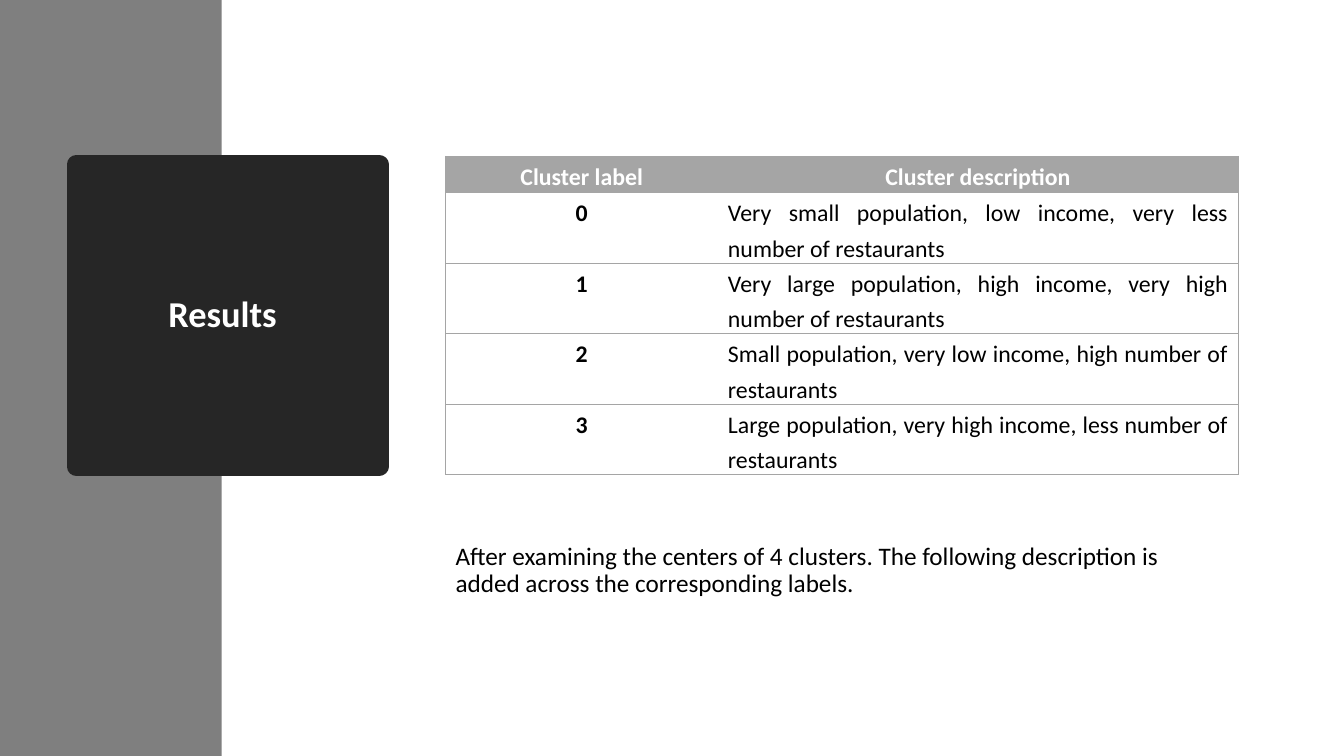
import pptx
import pptx.dml.color
import pptx.enum.shapes
import pptx.enum.text
import pptx.oxml
import pptx.oxml.ns
import pptx.util
from dataclasses import dataclass

Inches = pptx.util.Inches
Pt = pptx.util.Pt
ALIGN = pptx.enum.text.PP_ALIGN
ANCHOR = pptx.enum.text.MSO_ANCHOR


@dataclass(frozen=True)
class Theme:
    font: str = "Calibri"
    band: str = "7F7F7F"
    panel: str = "262626"
    grid: str = "A5A5A5"
    white: str = "FFFFFF"
    black: str = "000000"
    title_size: int = 26
    body_size: int = 18
    table_size: int = 17
    panel_line: float = 13.75
    grid_line: float = 0.5


def rgb(value):
    return pptx.dml.color.RGBColor.from_string(value)


class SlideBuilder:
    def __init__(self, slide, theme):
        self.slide = slide
        self.theme = theme

    def add_words(self, frame, text, size, color, bold=False, align=ALIGN.LEFT, spacing=0.9):
        frame.word_wrap = True
        paragraph = frame.paragraphs[0]
        paragraph.alignment = align
        paragraph.line_spacing = spacing
        run = paragraph.add_run()
        run.text = text
        run.font.name = self.theme.font
        run.font.size = Pt(size)
        run.font.bold = bold
        run.font.color.rgb = rgb(color)
        return paragraph

    def rectangle(self, left, top, width, height, color, line_width=0):
        block = self.slide.shapes.add_shape(
            pptx.enum.shapes.MSO_SHAPE.RECTANGLE,
            Inches(left), Inches(top), Inches(width), Inches(height))
        block.shadow.inherit = False
        block.fill.solid()
        block.fill.fore_color.rgb = rgb(color)
        if line_width:
            block.line.color.rgb = rgb(color)
            block.line.width = Pt(line_width)
            # Rounded corners come from the join of the thick outline
            block.line._get_or_add_ln().append(
                pptx.oxml.parse_xml(f'<a:round {pptx.oxml.ns.nsdecls("a")}/>'))
        else:
            block.line.fill.background()
        return block

    def title_panel(self, left, top, size, text):
        panel = self.rectangle(left, top, size, size, self.theme.panel, self.theme.panel_line)
        frame = panel.text_frame
        frame.vertical_anchor = ANCHOR.MIDDLE
        frame.margin_right = Inches(0.2)
        self.add_words(frame, text, self.theme.title_size, self.theme.white, True, ALIGN.CENTER)

    def text(self, left, top, width, height, text):
        box = self.slide.shapes.add_textbox(
            Inches(left), Inches(top), Inches(width), Inches(height))
        self.add_words(box.text_frame, text, self.theme.body_size, self.theme.black)

    def cell_borders(self, cell, sides):
        properties = cell._tc.get_or_add_tcPr()
        for side in "LRTB":
            paint = (f'<a:solidFill><a:srgbClr val="{self.theme.grid}"/></a:solidFill>'
                     if side in sides else "<a:noFill/>")
            properties.append(pptx.oxml.parse_xml(
                f'<a:ln{side} {pptx.oxml.ns.nsdecls("a")} '
                f'w="{Pt(self.theme.grid_line)}">{paint}</a:ln{side}>'))

    def table(self, left, top, widths, heights, rows):
        grid = self.slide.shapes.add_table(
            len(rows), len(widths), Inches(left), Inches(top),
            Inches(sum(widths)), Inches(sum(heights))).table
        grid.horz_banding = False
        for column, width in zip(grid.columns, widths):
            column.width = Inches(width)
        for row, height in zip(grid.rows, heights):
            row.height = Inches(height)
        for r, values in enumerate(rows):
            for c, value in enumerate(values):
                self.table_cell(grid.cell(r, c), value, header=r == 0, label=c == 0)

    def table_cell(self, cell, value, header, label):
        theme = self.theme
        # Outer frame and row rules only, no rule between the columns
        self.cell_borders(cell, "LTB" if label else "RTB")
        cell.fill.solid()
        cell.fill.fore_color.rgb = rgb(theme.grid if header else theme.white)
        cell.margin_left = cell.margin_right = Inches(0.1)
        cell.margin_top = cell.margin_bottom = 0
        paragraph = self.add_words(
            cell.text_frame, value, theme.table_size,
            theme.white if header else theme.black,
            bold=header or label,
            align=ALIGN.CENTER if header or label else ALIGN.JUSTIFY,
            spacing=1.22)
        paragraph.space_after = Pt(0.2)


def main():
    presentation = pptx.Presentation()
    presentation.slide_width = Inches(13.33)
    presentation.slide_height = Inches(7.5)
    slide = presentation.slides.add_slide(presentation.slide_layouts[6])
    theme = Theme()
    builder = SlideBuilder(slide, theme)

    # Side band and title
    builder.rectangle(0, 0, 2.2, 7.5, theme.band)
    builder.title_panel(0.76, 1.63, 3, "Results")

    # Explanation under the table
    builder.text(4.42, 5.34, 7.86, 1.41,
                 "After examining the centers of 4 clusters. The following description is "
                 "added across the corresponding labels.")

    # Cluster table
    descriptions = [
        "Very small population, low income, very less number of restaurants",
        "Very large population, high income, very high number of restaurants",
        "Small population, very low income, high number of restaurants",
        "Large population, very high income, less number of restaurants",
    ]
    clusters = [("Cluster label", "Cluster description")]
    clusters += [(str(label), description) for label, description in enumerate(descriptions)]
    builder.table(4.42, 1.55, [2.7, 5.16], [0.36] + [0.7] * len(descriptions), clusters)

    presentation.save("out.pptx")


if __name__ == "__main__":
    main()
